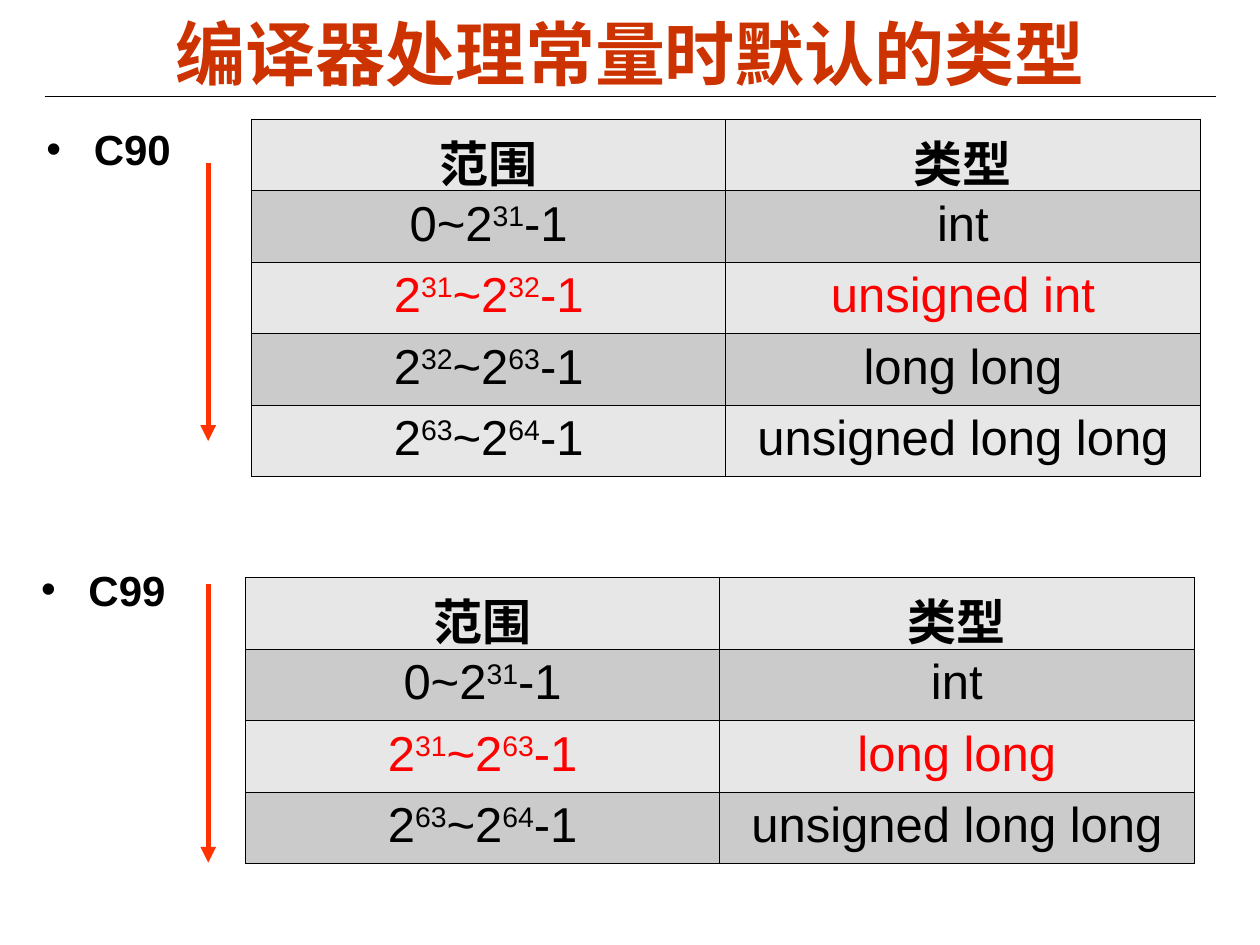
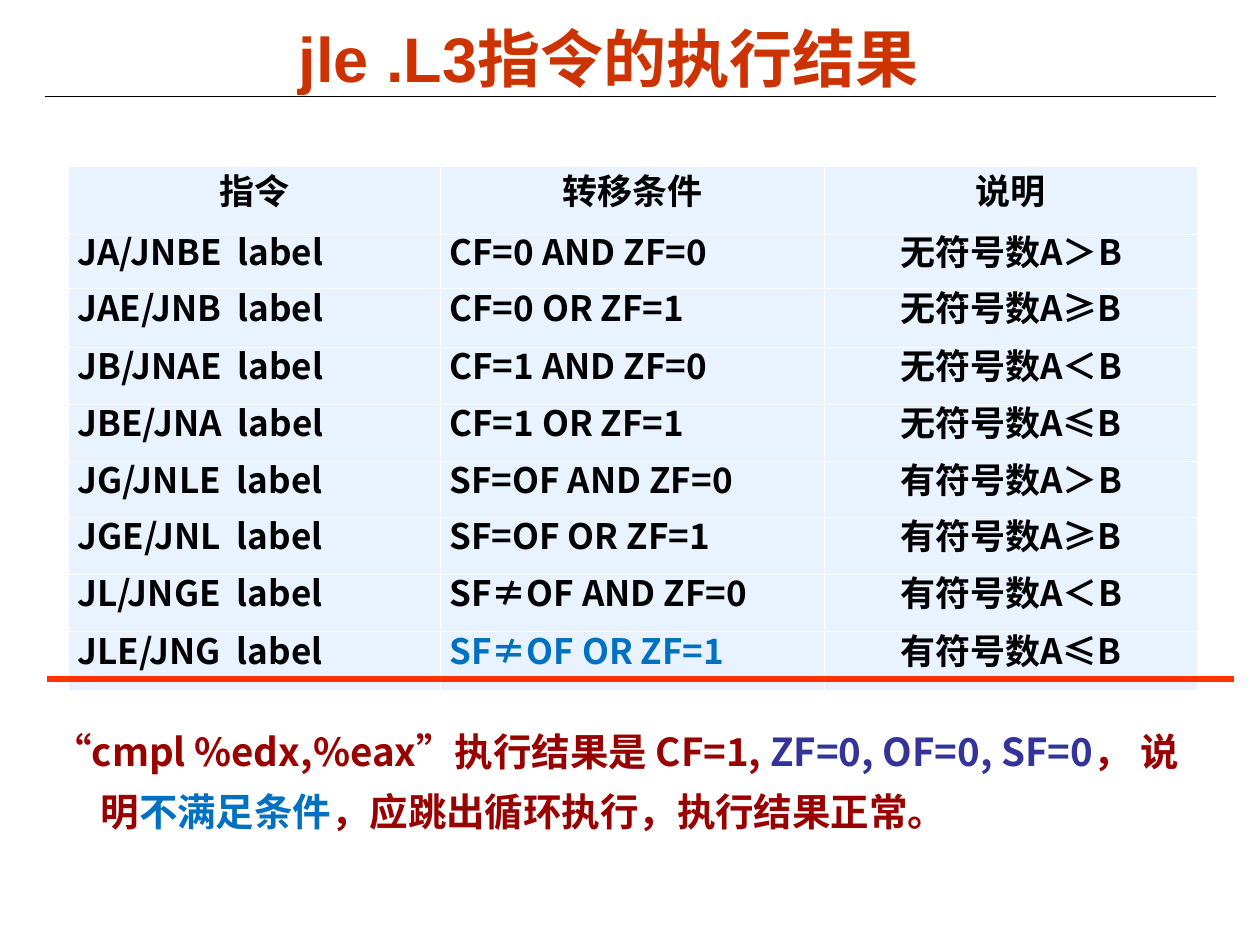
from lxml import etree
from pptx import Presentation
from pptx.dml.color import RGBColor
from pptx.enum import shapes, text
from pptx.oxml import ns
from pptx.util import Pt

BLACK = RGBColor(0x00, 0x00, 0x00)
WHITE = RGBColor(0xFF, 0xFF, 0xFF)
TITLE_RED = RGBColor(0xCC, 0x33, 0x00)
ARROW_RED = RGBColor(0xFF, 0x33, 0x00)
BRIGHT_RED = RGBColor(0xFF, 0x00, 0x00)
DARK_RED = RGBColor(0x99, 0x00, 0x00)
INDIGO = RGBColor(0x33, 0x33, 0x99)
BLUE = RGBColor(0x00, 0x70, 0xC0)
LIGHT_GREY = RGBColor(0xE7, 0xE7, 0xE7)
MID_GREY = RGBColor(0xCB, 0xCB, 0xCB)
PALE_BLUE = RGBColor(0xE8, 0xF3, 0xFF)

LATIN = "Arial"
CJK = "Noto Sans CJK SC"
LEFT, CENTER, JUSTIFY = (text.PP_ALIGN.LEFT, text.PP_ALIGN.CENTER,
                         text.PP_ALIGN.JUSTIFY)
TOP, MIDDLE = text.MSO_ANCHOR.TOP, text.MSO_ANCHOR.MIDDLE


def add_xml(parent, tag, **attributes):
    return etree.SubElement(parent, ns.qn(tag), attributes)


def write(frame, content, size=24, color=BLACK, bold=True, font=LATIN,
          align=LEFT, spacing=None, hanging=0, bullet=None):
    """Fill a frame with one paragraph: a string, or (string, color) pairs.

    Parts of a string between ^ marks are set as superscripts.
    """
    paragraph = frame.paragraphs[0]
    properties = paragraph._p.get_or_add_pPr()
    if hanging:
        properties.set("marL", str(Pt(hanging)))
        properties.set("indent", str(-Pt(hanging)))
    if bullet:
        add_xml(properties, "a:buFont", typeface=LATIN)
        add_xml(properties, "a:buChar", char=bullet)
    paragraph.alignment = align
    if spacing:
        paragraph.line_spacing = spacing
    pieces = [(content, color)] if isinstance(content, str) else content
    for piece, piece_color in pieces:
        for index, part in enumerate(piece.split("^")):
            run = paragraph.add_run()
            run.text = part
            run.font.size, run.font.bold, run.font.name = Pt(size), bold, font
            run.font.color.rgb = piece_color
            run_properties = run._r.get_or_add_rPr()
            add_xml(run_properties, "a:ea", typeface=CJK)
            if index % 2:
                run_properties.set("baseline", "30000")


class Deck:
    def __init__(self):
        self.presentation = Presentation()
        self.presentation.slide_width = Pt(720)
        self.presentation.slide_height = Pt(540)
        self.slide = None

    def new_slide(self, title, left, top, width, height, size):
        layout = self.presentation.slide_layouts[5]
        self.slide = self.presentation.slides.add_slide(layout)
        self.line(25.5, 55, 695, 55)
        shape = self.slide.shapes.title
        shape.left, shape.top = Pt(left), Pt(top)
        shape.width, shape.height = Pt(width), Pt(height)
        frame = shape.text_frame
        frame.word_wrap = True
        frame.auto_size = text.MSO_AUTO_SIZE.NONE
        frame.vertical_anchor = MIDDLE
        write(frame, title, size=size, color=TITLE_RED, align=CENTER)

    def line(self, x1, y1, x2, y2, color=BLACK, weight=0.75, arrow=False):
        connector = self.slide.shapes.add_connector(
            shapes.MSO_CONNECTOR.STRAIGHT, Pt(x1), Pt(y1), Pt(x2), Pt(y2))
        connector.line.color.rgb = color
        connector.line.width = Pt(weight)
        if arrow:
            add_xml(connector.line._get_or_add_ln(), "a:tailEnd",
                    type="triangle")
        add_xml(connector._element.spPr, "a:effectLst")

    def bullet(self, content, left, top, spacing):
        box = self.slide.shapes.add_textbox(
            Pt(left), Pt(top), Pt(648), Pt(37.5))
        box.text_frame.word_wrap = True
        write(box.text_frame, content, spacing=spacing, hanging=27, bullet="•")

    def panel(self, content, left, top, width, height, **style):
        shape = self.slide.shapes.add_shape(
            shapes.MSO_SHAPE.RECTANGLE,
            Pt(left), Pt(top), Pt(width), Pt(height))
        shape.shadow.inherit = False
        shape.fill.solid()
        shape.fill.fore_color.rgb = WHITE
        shape.line.fill.background()
        frame = shape.text_frame
        frame.word_wrap = True
        frame.vertical_anchor = TOP
        frame.margin_left = frame.margin_right = Pt(5)
        frame.margin_top = frame.margin_bottom = Pt(2.5)
        write(frame, content, **style)

    def table(self, rows, left, top, widths, heights, border, cell_style,
              margin=7.2, anchor=TOP):
        """cell_style(row, column) gives the fill and the text format."""
        table = self.slide.shapes.add_table(
            len(rows), len(widths), Pt(left), Pt(top),
            Pt(sum(widths)), Pt(sum(heights))).table
        table.first_row = table.horz_banding = False
        for column, width in zip(table.columns, widths):
            column.width = Pt(width)
        for row, height in zip(table.rows, heights):
            row.height = Pt(height)
        for r, values in enumerate(rows):
            for c, value in enumerate(values):
                cell = table.cell(r, c)
                fill, style = cell_style(r, c)
                self.borders(cell, border)
                cell.fill.solid()
                cell.fill.fore_color.rgb = fill
                cell.margin_left = cell.margin_right = Pt(margin)
                cell.vertical_anchor = anchor
                write(cell.text_frame, value, **style)

    @staticmethod
    def borders(cell, color):
        properties = cell._tc.get_or_add_tcPr()
        for side in "LRTB":
            edge = add_xml(properties, f"a:ln{side}", w=str(Pt(0.45)))
            fill = add_xml(edge, "a:solidFill")
            add_xml(fill, "a:srgbClr", val=str(color))


def range_style(row, column):
    fill = MID_GREY if row % 2 else LIGHT_GREY
    color = BRIGHT_RED if row == 2 else BLACK
    return fill, dict(size=28, color=color, bold=row == 0, align=CENTER)


def jump_style(row, column):
    align = CENTER if row == 0 or column == 2 else JUSTIFY
    color = BLUE if (row, column) == (8, 1) else BLACK
    return PALE_BLUE, dict(size=20, color=color, font=CJK, align=align,
                           spacing=Pt(16))


def constant_types(deck):
    deck.new_slide("编译器处理常量时默认的类型", 36, 8, 648, 44, size=40)
    header = ("范围", "类型")
    int_row = ("0~2^31^-1", "int")
    last_row = ("2^63^~2^64^-1", "unsigned long long")
    c90 = [header, int_row, ("2^31^~2^32^-1", "unsigned int"),
           ("2^32^~2^63^-1", "long long"), last_row]
    c99 = [header, int_row, ("2^31^~2^63^-1", "long long"), last_row]

    # Each standard: bullet, table of ranges, arrow in checking order
    for name, rows, bullet_at, spacing, table_at, arrow_top in (
            ("C90", c90, (19.5, 65.5), 1.05, (143.75, 68), 93),
            ("C99", c99, (16.5, 314.5), 1.15, (140.25, 330), 334)):
        deck.bullet(name, *bullet_at, spacing)
        deck.table(rows, *table_at, [271, 271], [40.85] * len(rows),
                   BLACK, range_style)
        deck.line(119, arrow_top, 119, arrow_top + 159, ARROW_RED, 3,
                  arrow=True)


def jump_result(deck):
    deck.new_slide("jle .L3指令的执行结果", 126, 11.5, 443.5, 42, size=36)

    # Conditional jumps
    jumps = [
        ("JA/JNBE", "CF=0 AND ZF=0", "无符号数A＞B"),
        ("JAE/JNB", "CF=0 OR ZF=1", "无符号数A≥B"),
        ("JB/JNAE", "CF=1 AND ZF=0", "无符号数A＜B"),
        ("JBE/JNA", "CF=1 OR ZF=1", "无符号数A≤B"),
        ("JG/JNLE", "SF=OF AND ZF=0", "有符号数A＞B"),
        ("JGE/JNL", "SF=OF OR ZF=1", "有符号数A≥B"),
        ("JL/JNGE", "SF≠OF AND ZF=0", "有符号数A＜B"),
        ("JLE/JNG", "SF≠OF OR ZF=1", "有符号数A≤B"),
    ]
    rows = [("指令", "转移条件", "说明")]
    rows += [(f"{name}  label", test, note) for name, test, note in jumps]
    heights = [38.6, 31, 33.8] + [32.4] * 5 + [34]
    deck.table(rows, 39.25, 95.25, [212.5, 219.5, 213], heights, WHITE,
               jump_style, margin=5, anchor=MIDDLE)
    deck.line(27, 388, 705, 388, ARROW_RED, 3)

    # Conclusion
    deck.panel([("“cmpl %edx,%eax”执行结果是 CF=1,", DARK_RED),
                (" ZF=0, OF=0, SF=0", INDIGO),
                ("， 说明", DARK_RED),
                ("不满足条件", BLUE),
                ("，应跳出循环执行，执行结果正常。", DARK_RED)],
               25.5, 405.5, 665, 73, size=22, font=CJK, spacing=1.3,
               hanging=27)


def main():
    deck = Deck()
    constant_types(deck)
    jump_result(deck)
    deck.presentation.save("out.pptx")


if __name__ == "__main__":
    main()
